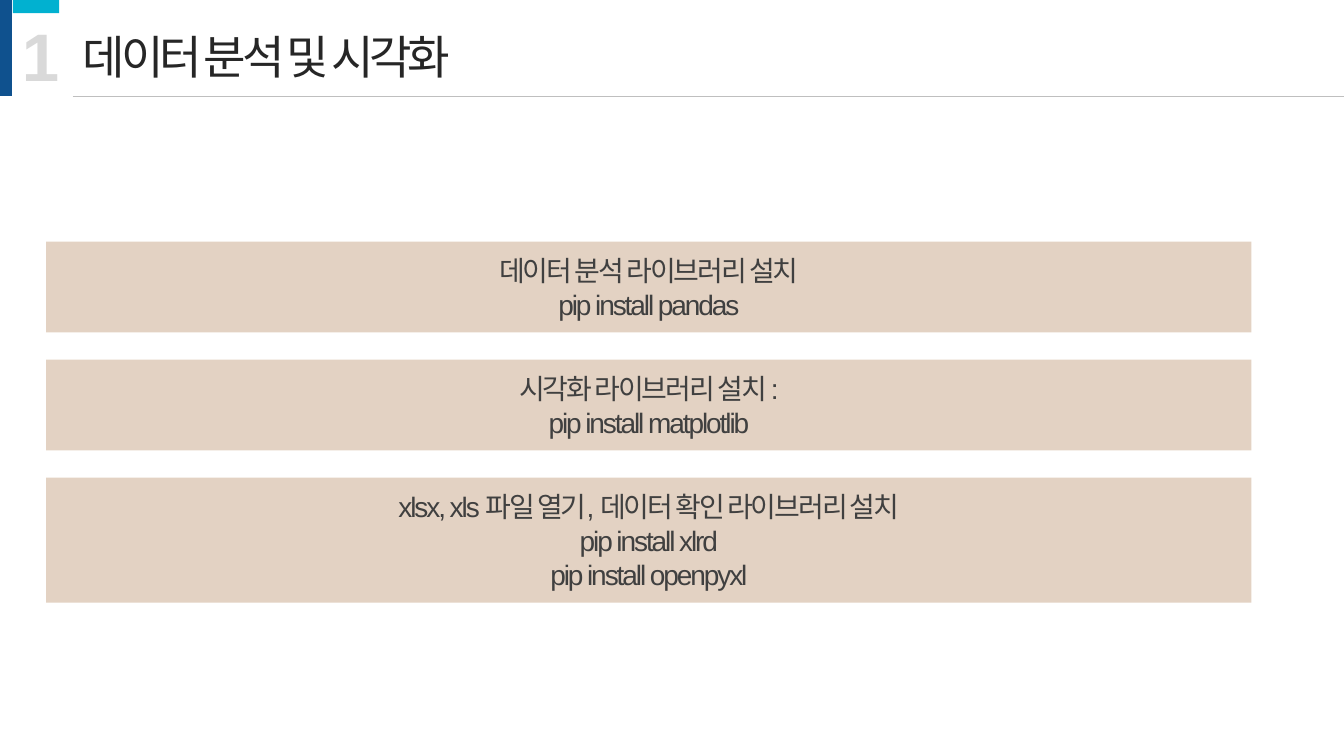
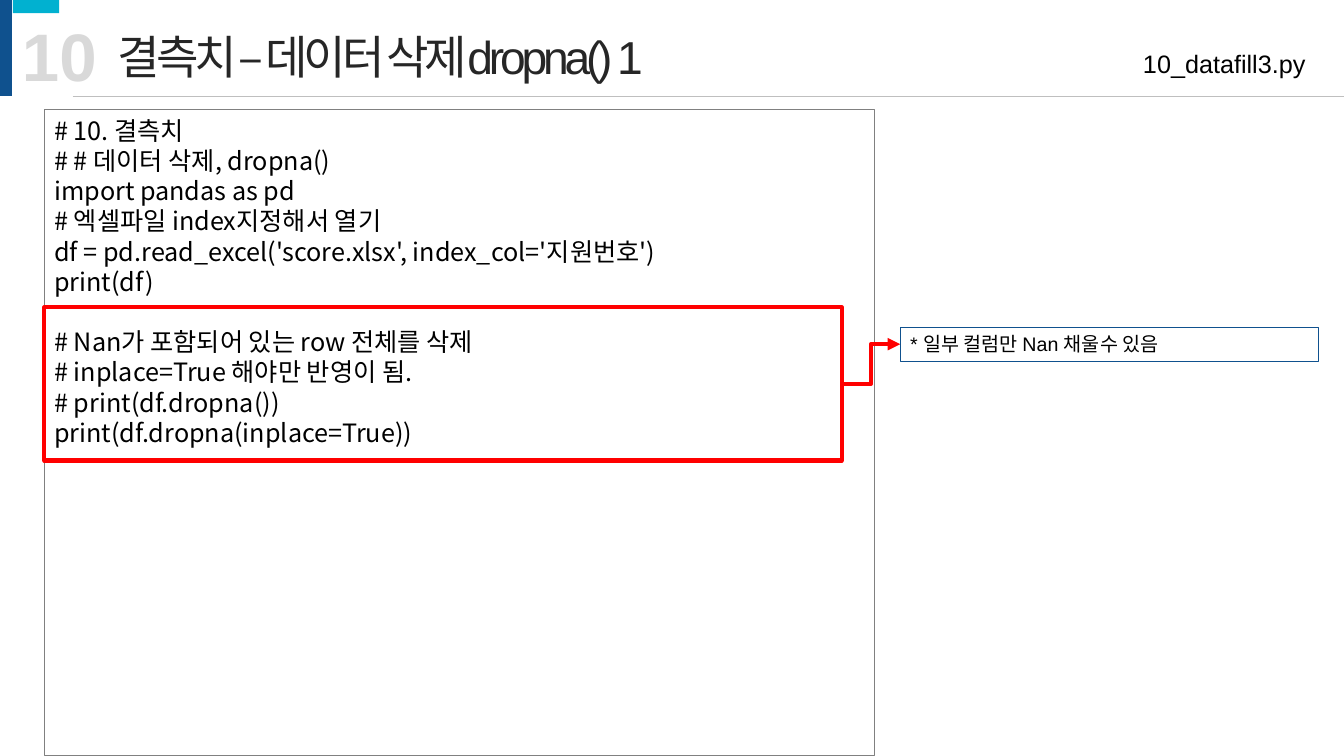
from dataclasses import dataclass
from typing import Any, Optional

from lxml.etree import SubElement
from pptx import Presentation
from pptx.dml.color import RGBColor
from pptx.enum.shapes import MSO_CONNECTOR, MSO_SHAPE
from pptx.enum.text import MSO_ANCHOR, MSO_AUTO_SIZE, PP_ALIGN
from pptx.oxml.ns import qn
from pptx.util import Pt

COLORS = {
    "navy": "0F518E",
    "cyan": "01B1D0",
    "sand": "E3D2C3",
    "number": "D9D9D9",
    "rule": "BFBFBF",
    "title": "262626",
    "body": "404040",
    "border": "808080",
    "accent": "FF0000",
    "black": "000000",
}
SLIDE_WIDTH, SLIDE_HEIGHT = 960, 540
HEADER_BOTTOM = 68.5


@dataclass(frozen=True)
class Box:
    left: float
    top: float
    width: float
    height: float

    def lengths(self) -> tuple:
        return Pt(self.left), Pt(self.top), Pt(self.width), Pt(self.height)


@dataclass(frozen=True)
class TextStyle:
    font: dict
    paragraph: dict
    frame: dict
    color: str
    tracking: float = 0
    east_asian: str = ""


@dataclass(frozen=True)
class Header:
    number: str
    number_width: float
    title: str
    title_left: float
    title_width: float


@dataclass(frozen=True)
class InstallStep:
    lines: tuple[str, ...]
    height: float


FIXED_FRAME = {"word_wrap": True, "auto_size": MSO_AUTO_SIZE.NONE}
LEFT = {"alignment": PP_ALIGN.LEFT}
TITLE = TextStyle(
    {"name": "Arial", "size": Pt(33), "bold": False},
    LEFT,
    {**FIXED_FRAME, "vertical_anchor": MSO_ANCHOR.MIDDLE},
    "title",
    tracking=-3,
)
NUMBER = TextStyle(
    {"name": "Arial", "size": Pt(48), "bold": True},
    LEFT,
    {"word_wrap": False, "auto_size": MSO_AUTO_SIZE.NONE},
    "number",
)
INSTALL = TextStyle(
    {"name": "Arial", "size": Pt(20)},
    {"alignment": PP_ALIGN.CENTER, "line_spacing": Pt(24.4)},
    {**FIXED_FRAME, "vertical_anchor": MSO_ANCHOR.MIDDLE},
    "body",
    tracking=-1.5,
)
TOP_FRAME = {**FIXED_FRAME, "vertical_anchor": MSO_ANCHOR.TOP}
FILE_NAME = TextStyle(
    {"name": "Arial", "size": Pt(18)},
    {"alignment": PP_ALIGN.RIGHT},
    TOP_FRAME,
    "black",
)
CODE_PITCH = Pt(21.6)
CODE = TextStyle(
    {"name": "Noto Sans CJK KR", "size": Pt(18)},
    {**LEFT, "line_spacing": CODE_PITCH},
    TOP_FRAME,
    "black",
    east_asian="Noto Sans CJK KR",
)
NOTE = TextStyle({"name": "Arial", "size": Pt(14)}, LEFT, TOP_FRAME, "black")

INSTALL_STEPS = (
    InstallStep(("데이터 분석 라이브러리 설치", "pip install pandas"), 64.8),
    InstallStep(("시각화 라이브러리 설치 :", "pip install matplotlib"), 64.8),
    InstallStep(
        (
            "xlsx, xls 파일 열기, 데이터 확인 라이브러리 설치",
            "pip install xlrd",
            "pip install openpyxl",
        ),
        89.3,
    ),
)
LOAD_CODE = (
    "# 10. 결측치",
    "# # 데이터 삭제, dropna()",
    "import pandas as pd",
    "# 엑셀파일 index지정해서 열기",
    "df = pd.read_excel('score.xlsx', index_col='지원번호')",
    "print(df)",
)
DROP_CODE = (
    "# Nan가 포함되어 있는 row 전체를 삭제",
    "# inplace=True 해야만 반영이 됨.",
    "# print(df.dropna())",
    "print(df.dropna(inplace=True))",
)


def rgb(color: str) -> RGBColor:
    return RGBColor.from_string(COLORS[color])


def apply(target: Any, values: dict) -> None:
    for attribute, value in values.items():
        setattr(target, attribute, value)


def write(shape: Any, lines: tuple[str, ...], style: TextStyle) -> None:
    frame = shape.text_frame
    apply(frame, style.frame)
    for index, line in enumerate(lines):
        paragraph = frame.add_paragraph() if index else frame.paragraphs[0]
        apply(paragraph, style.paragraph)
        run = paragraph.add_run()
        run.text = line
        apply(run.font, style.font)
        run.font.color.rgb = rgb(style.color)
        properties = run._r.get_or_add_rPr()
        if style.tracking:
            properties.set("spc", str(round(style.tracking * 100)))
        if style.east_asian:
            SubElement(properties, qn("a:ea"), typeface=style.east_asian)


def add_rect(
    slide: Any,
    box: Box,
    fill: Optional[str] = None,
    line: Optional[str] = None,
    line_width: float = 0.75,
) -> Any:
    rect = slide.shapes.add_shape(MSO_SHAPE.RECTANGLE, *box.lengths())
    rect.shadow.inherit = False
    if fill:
        rect.fill.solid()
        rect.fill.fore_color.rgb = rgb(fill)
    else:
        rect.fill.background()
    if line:
        rect.line.color.rgb = rgb(line)
        rect.line.width = Pt(line_width)
    else:
        rect.line.fill.background()
    return rect


def add_line(
    slide: Any,
    kind: MSO_CONNECTOR,
    start: tuple[float, float],
    end: tuple[float, float],
    color: str,
    width: float,
) -> Any:
    line = slide.shapes.add_connector(kind, *(Pt(value) for value in start + end))
    line.line.color.rgb = rgb(color)
    line.line.width = Pt(width)
    SubElement(line._element.spPr, qn("a:effectLst"))
    return line


def add_text(slide: Any, box: Box, text: str, style: TextStyle) -> None:
    write(slide.shapes.add_textbox(*box.lengths()), (text,), style)


def add_slide(deck: Any, header: Header) -> Any:
    slide = deck.slides.add_slide(deck.slide_layouts[5])
    title = slide.shapes.title
    places = Box(header.title_left, 16, header.title_width, 48).lengths()
    apply(title, dict(zip(("left", "top", "width", "height"), places)))
    write(title, (header.title,), TITLE)
    add_rect(slide, Box(0, 0, 8.6, HEADER_BOTTOM), "navy")
    add_rect(slide, Box(9.2, 0, 33.1, 9.4), "cyan")
    add_text(slide, Box(8.6, 6.5, header.number_width, 65.5), header.number, NUMBER)
    add_line(
        slide,
        MSO_CONNECTOR.STRAIGHT,
        (52, HEADER_BOTTOM),
        (SLIDE_WIDTH, HEADER_BOTTOM),
        "rule",
        0.5,
    )
    return slide


def build_install_slide(deck: Any) -> None:
    slide = add_slide(deck, Header("1", 42, "데이터 분석 및 시각화", 52, 876))
    top, gap = 172.6, 19.5
    for step in INSTALL_STEPS:
        band = add_rect(slide, Box(33, top, 861, step.height), "sand")
        write(band, step.lines, INSTALL)
        top += step.height + gap


def build_dropna_slide(deck: Any) -> None:
    slide = add_slide(
        deck, Header("10", 68.4, "결측치 – 데이터 삭제dropna() 1", 77, 726)
    )
    add_text(slide, Box(643, 31, 296.6, 29), "10_datafill3.py", FILE_NAME)
    code = add_rect(slide, Box(31.7, 78.5, 593.3, 461.5), line="border")
    write(code, LOAD_CODE + DROP_CODE, CODE)
    code.text_frame.paragraphs[len(LOAD_CODE)].space_before = CODE_PITCH
    note = add_rect(slide, Box(643, 233.8, 298.8, 24.2), line="navy")
    write(note, ("* 일부 컬럼만 Nan 채울수 있음",), NOTE)
    highlight = add_rect(slide, Box(31.7, 219.5, 569.5, 109.5), None, "accent", 3)
    arrow = add_line(
        slide, MSO_CONNECTOR.ELBOW, (601.2, 274.2), (643, 245.9), "accent", 3
    )
    arrow.begin_connect(highlight, 3)
    arrow.end_connect(note, 1)
    SubElement(arrow.line._get_or_add_ln(), qn("a:tailEnd"), type="triangle")


def main() -> None:
    deck = Presentation()
    deck.slide_width = Pt(SLIDE_WIDTH)
    deck.slide_height = Pt(SLIDE_HEIGHT)
    build_install_slide(deck)
    build_dropna_slide(deck)
    deck.save("out.pptx")


if __name__ == "__main__":
    main()
